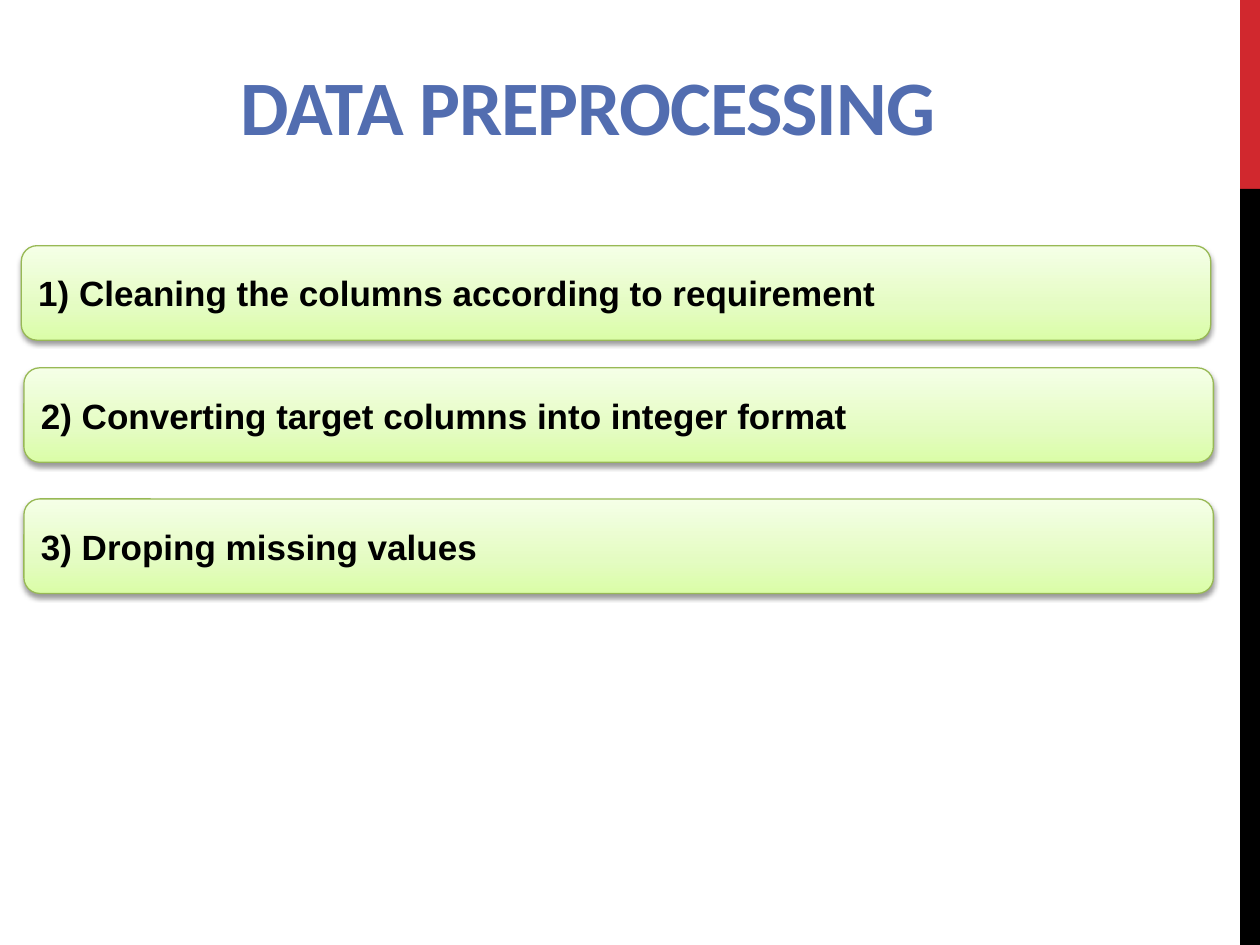
from copy import deepcopy

from lxml import etree
from pptx import Presentation
from pptx.dml.color import RGBColor
from pptx.enum.shapes import MSO_SHAPE
from pptx.enum.text import MSO_ANCHOR, PP_ALIGN
from pptx.oxml import parse_xml
from pptx.oxml.ns import nsdecls, qn
from pptx.util import Pt

RECT, ROUND_RECT = MSO_SHAPE.RECTANGLE, MSO_SHAPE.ROUNDED_RECTANGLE
MIDDLE, BOTTOM = MSO_ANCHOR.MIDDLE, MSO_ANCHOR.BOTTOM
LEFT, CENTER = PP_ALIGN.LEFT, PP_ALIGN.CENTER

RED = RGBColor(0xD1, 0x28, 0x2E)
BLACK = RGBColor(0, 0, 0)
BLUE = RGBColor(0x52, 0x6D, 0xB0)
GREEN_LINE = RGBColor(0x98, 0xB9, 0x55)
GREEN_STOPS = [
    (0, RGBColor(0xDA, 0xFD, 0xA7)),
    (0.35, RGBColor(0xE4, 0xFC, 0xC2)),
    (1, RGBColor(0xF5, 0xFF, 0xE7)),
]

TITLE_FONT = {"name": "Calibri", "size": Pt(44), "bold": True}
STEP_FONT = {"name": "Arial", "size": Pt(20), "bold": True}

# Left, top and text of each step
STEPS = [
    (12.2, 140.4, "1) Cleaning the columns according to requirement"),
    (13.7, 210.2, "2) Converting target columns into integer format"),
    (13.7, 285.1, "3) Droping missing values"),
]
STEP_W, STEP_H = 679.7, 54
BAND_X, BAND_W = 708.6, 11.4


def write(sp, text, font, color, align, anchor):
    tf = sp.text_frame
    tf.word_wrap = True
    tf.vertical_anchor = anchor
    p = tf.paragraphs[0]
    p.alignment = align
    r = p.add_run()
    r.text = text
    for key, value in font.items():
        setattr(r.font, key, value)
    r.font.color.rgb = color
    return r


def add_shape(s, kind, x, y, w, h):
    sp = s.shapes.add_shape(kind, Pt(x), Pt(y), Pt(w), Pt(h))
    sp.shadow.inherit = False
    return sp


def add_band(s, y, h, color):
    sp = add_shape(s, RECT, BAND_X, y, BAND_W, h)
    sp.fill.solid()
    sp.fill.fore_color.rgb = color
    sp.line.fill.background()


def add_title(s, text):
    sp = s.shapes.add_textbox(Pt(36), Pt(12.2), Pt(600), Pt(77.8))
    r = write(sp, text, TITLE_FONT, BLUE, CENTER, BOTTOM)
    r.font._element.set("spc", "-60")


def fill_gradient(sp):
    sp.fill.gradient()
    sp.fill.gradient_angle = 90
    # The default gradient has two stops; a third goes between them
    first = sp._element.spPr.find(".//" + qn("a:gs"))
    first.addnext(deepcopy(first))
    for stop, (position, color) in zip(sp.fill.gradient_stops, GREEN_STOPS):
        stop.position = position
        stop.color.rgb = color


def add_shadow(sp):
    effects = sp._element.spPr.find(qn("a:effectLst"))
    shadow = parse_xml(
        f'<a:outerShdw {nsdecls("a")} blurRad="{Pt(3.1)}" dist="{Pt(1.6)}" '
        'dir="5400000" rotWithShape="0"/>')
    color = etree.SubElement(shadow, qn("a:srgbClr"), val=str(BLACK))
    etree.SubElement(color, qn("a:alpha"), val="38000")
    effects.append(shadow)


def add_step(s, x, y, text):
    sp = add_shape(s, ROUND_RECT, x, y, STEP_W, STEP_H)
    fill_gradient(sp)
    sp.line.color.rgb = GREEN_LINE
    sp.line.width = Pt(0.75)
    add_shadow(sp)
    write(sp, text, STEP_FONT, BLACK, LEFT, MIDDLE)


def main():
    prs = Presentation()
    prs.slide_width, prs.slide_height = Pt(720), Pt(540)
    s = prs.slides.add_slide(prs.slide_layouts[6])

    # Side band
    add_band(s, 0, 108, RED)
    add_band(s, 108, 432, BLACK)

    # Title and steps
    add_title(s, "DATA PREPROCESSING")
    for x, y, text in STEPS:
        add_step(s, x, y, text)

    prs.save("out.pptx")


main()
